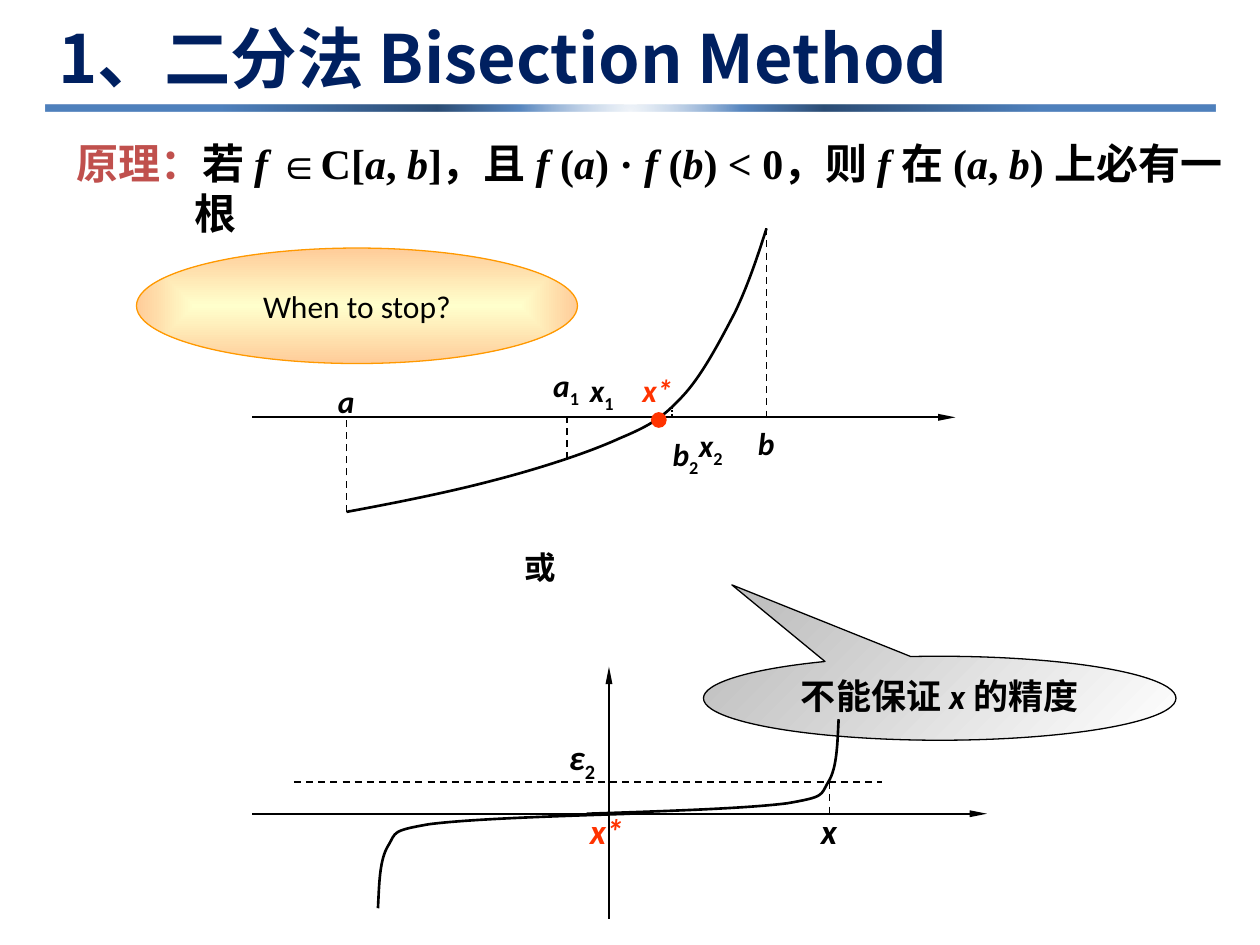
from pptx import Presentation
from pptx import util as u
from pptx.dml.color import RGBColor
from pptx.enum import dml, shapes, text
from pptx.oxml import parse_xml
from pptx.oxml.ns import nsdecls, qn

PX = 9525
INK = {"black": "000000", "red": "FF3300", "brick": "C0504D", "navy": "002060",
       "amber": "FF9900", "cream": "FFFFCC", "peach": "FFCC99", "gray": "C0C0C0",
       "white": "FFFFFF", "pale": "B9CDE5", "mid": "5887C0", "deep": "2C4D75",
       "blue": "4F81BD"}
DASH = dml.MSO_LINE.DASH
DOT = dml.MSO_LINE.ROUND_DOT
CJK = "Noto Sans CJK SC"


def px(num):
    """Turn px into EMU."""
    return u.Emu(num * PX)


def rgb(name):
    """Look up a named colour."""
    return RGBColor.from_string(INK[name])


def write(par, runs, size, face="Calibri", ink="black", bold=True):
    """Add runs given as (words, marks[, ink]); i is italic, s subscript."""
    for words, marks, *tint in runs:
        run = par.add_run()
        run.text = words
        font = run.font
        font.size, font.bold, font.name = u.Pt(size), bold, face
        font.italic = "i" in marks
        font.color.rgb = rgb(tint[0] if tint else ink)
        props = run._r.get_or_add_rPr()
        props.append(parse_xml(f'<a:ea {nsdecls("a")} typeface="{CJK}"/>'))
        if "s" in marks:
            props.set("baseline", "-25000")


def label(sld, box, runs, size=18, grow=True, **style):
    """Place a wrapped text box and return its paragraph."""
    frame = sld.shapes.add_textbox(*map(px, box)).text_frame
    frame.word_wrap = True
    if grow:
        frame.auto_size = text.MSO_AUTO_SIZE.SHAPE_TO_FIT_TEXT
    par = frame.paragraphs[0]
    write(par, runs, size, **style)
    return par


def line(sld, box, start, end, dash=None, arrow=False):
    """Draw a thin line between two points of a box."""
    left, top = box[:2]
    rule = sld.shapes.add_connector(
        shapes.MSO_CONNECTOR.STRAIGHT, px(left + start[0]), px(top + start[1]),
        px(left + end[0]), px(top + end[1]))
    rule.line.color.rgb = rgb("black")
    rule.line.width = u.Pt(1)
    if dash:
        rule.line.dash_style = dash
    if arrow:
        rule.line._get_or_add_ln().append(parse_xml(
            f'<a:tailEnd {nsdecls("a")} type="triangle" w="sm" len="lg"/>'))
    rule.element.spPr.append(parse_xml(f'<a:effectLst {nsdecls("a")}/>'))


def curve(sld, box, pts):
    """Draw a chain of cubic curves through points of a box."""
    dots = [(px(box[0] + x), px(box[1] + y)) for x, y in pts]
    pen = sld.shapes.build_freeform(*dots[0], 1.0)
    pen.add_line_segments(dots[1:], close=False)
    shape = pen.convert_to_shape()
    shape.shadow.inherit = False
    shape.fill.background()
    shape.line.color.rgb = rgb("black")
    shape.line.width = u.Pt(1.5)
    track = next(shape.element.iter(qn("a:path")))
    legs = track.findall(qn("a:lnTo"))
    for k in range(0, len(legs), 3):
        bend = parse_xml(f'<a:cubicBezTo {nsdecls("a")}/>')
        for leg in legs[k:k + 3]:
            bend.append(leg[0])
            track.remove(leg)
        track.append(bend)


def blend(shape, stops, way):
    """Fill a shape with a gradient of (place, ink, alpha) stops."""
    shape.fill.background()
    marks = ""
    for at, ink, alpha in stops:
        fade = f'<a:alpha val="{alpha * 1000}"/>' if alpha < 100 else ""
        marks += f'<a:gs pos="{at * 1000}"><a:srgbClr val="{INK[ink]}">{fade}</a:srgbClr></a:gs>'
    props = shape.element.spPr
    props.replace(props.find(qn("a:noFill")), parse_xml(
        f'<a:gradFill {nsdecls("a")} rotWithShape="1"><a:gsLst>{marks}</a:gsLst>{way}</a:gradFill>'))


def focus(kind, top, low):
    """Give a gradient that spreads from a focus."""
    return (f'<a:path path="{kind}"><a:fillToRect l="50000" t="{top * 1000}" '
            f'r="50000" b="{low * 1000}"/></a:path>')


def solid(sld, kind, box, edge=None):
    """Add a preset shape without a shadow."""
    shape = sld.shapes.add_shape(kind, *map(px, box))
    shape.shadow.inherit = False
    if edge:
        shape.line.color.rgb = rgb(edge)
        shape.line.width = u.Pt(0.75)
    else:
        shape.line.fill.background()
    return shape


def head(sld, box):
    """Build the title and the bar under it."""
    left, top, wide, high = box
    label(sld, (left, top, 768, 80), [("1、二分法 Bisection Method", "")], 38,
          grow=False, face=CJK, ink="navy")
    bar = solid(sld, shapes.MSO_SHAPE.FLOWCHART_PROCESS, (left, top + high - 5, wide, 5))
    blend(bar, [(0, "pale", 22), (19, "mid", 100), (33, "deep", 100), (70, "blue", 100)],
          focus("circle", 130, -30))


def rule(sld, box):
    """Build the statement of the principle."""
    words = ["若 ", "f ", "∈C[", "a", ", ", "b", "]，且 ", "f ", "(", "a", ") · ", "f ",
             "(", "b", ") < 0，则 ", "f ", "在 (", "a", ", ", "b", ") 上必有一根"]
    runs = [("原理：", "", "brick")]
    runs += [(word, "i" if k % 2 else "") for k, word in enumerate(words)]
    props = label(sld, box, runs, 24, face="Times New Roman")._p.get_or_add_pPr()
    props.set("marL", str(px(90)))
    props.set("indent", str(px(-90)))


def root(sld, box):
    """Build the plot of a curve that crosses its axis."""
    left, top, wide, high = box
    line(sld, box, (0, 144), (wide, 144), arrow=True)
    curve(sld, box, [(72, high), (110, 209), (150, 201), (184, 192), (219, 183), (256, 171),
                     (280, 160), (304, 150), (313, 144), (328, 128), (343, 112), (357, 85),
                     (368, 64), (378, 43), (385, 22), (392, 0)])
    for x, y, dash in [(72, high, DASH), (240, 176, DASH), (320, 136, DOT), (392, 0, DASH)]:
        line(sld, box, (x, y), (x, 144), dash)
    dot = solid(sld, shapes.MSO_SHAPE.OVAL, (left + 304, top + 140, 12, 12))
    dot.fill.solid()
    dot.fill.fore_color.rgb = rgb("red")
    for x, y, span, tall, name, sub in [
            (56, 112, 32, 38, "a", ""), (376, 144, 32, 38, "b", ""),
            (248, 104, 40, 38, "x", "1"), (331, 146, 40, 38, "x", "2"),
            (220, 100, 45, 82, "a", "1"), (311, 153, 68, 82, "b", "2")]:
        runs = [(name, "i")] + ([(sub, "s")] if sub else [])
        label(sld, (left + x, top + y, span, tall), runs)
    label(sld, (left + 288, top + 104, 48, 38), [("x*", "i")], ink="red")


def flat(sld, box):
    """Build the plot of a curve that is flat near its root."""
    left, top, wide, high = box
    arm = [(96, 184), (97, 166), (97, 147), (104, 136), (110, 126), (106, 125),
           (135, 120), (166, 116), (228, 114), (288, 112)]
    curve(sld, box, arm)
    curve(sld, box, [(543 - x, 224 - y) for x, y in arm])
    line(sld, box, (0, 112), (wide, 112), arrow=True)
    line(sld, box, (272, high), (272, 0), arrow=True)
    line(sld, box, (32, 88), (480, 88), DASH)
    line(sld, box, (440, 88), (440, 112), DASH)
    label(sld, (left + 232, top + 48, 40, 41), [("ε", "i"), ("2", "s")], 20)
    label(sld, (left + 424, top + 104, 32, 41), [("x", "i")], 20)
    label(sld, (left + 248, top + 104, 48, 41), [("x*", "i")], 20, ink="red")


def ask(sld, box):
    """Build the oval with the question."""
    oval = solid(sld, shapes.MSO_SHAPE.OVAL, box, "amber")
    blend(oval, [(0, "cream", 100), (100, "peach", 100)], focus("shape", 50, 50))
    frame = oval.text_frame
    frame.word_wrap = False
    frame.vertical_anchor = text.MSO_ANCHOR.MIDDLE
    frame.paragraphs[0].alignment = text.PP_ALIGN.CENTER
    write(frame.paragraphs[0], [("When to stop?", "")], 18, bold=False)


def warn(sld, box):
    """Build the callout about precision."""
    note = solid(sld, shapes.MSO_SHAPE.OVAL_CALLOUT, box, "black")
    note.adjustments[0], note.adjustments[1] = -0.44, -1.35
    blend(note, [(0, "gray", 100), (100, "white", 100)], '<a:lin ang="2700000" scaled="1"/>')
    frame = note.text_frame
    frame.word_wrap = True
    frame.vertical_anchor = text.MSO_ANCHOR.TOP
    frame.paragraphs[0].alignment = text.PP_ALIGN.CENTER
    write(frame.paragraphs[0], [("不能保证 ", ""), ("x ", "i"), ("的精度", "")], 20)


def main():
    """Build and save the slide."""
    deck = Presentation()
    deck.slide_width, deck.slide_height = px(960), px(720)
    sld = deck.slides.add_slide(deck.slide_layouts[6])
    root(sld, (192, 174, 536, 216))
    ask(sld, (104, 189, 336, 88))
    label(sld, (384, 413, 56, 48), [("或", "")]).alignment = text.PP_ALIGN.CENTER
    warn(sld, (536, 500, 360, 64))
    flat(sld, (192, 508, 560, 192))
    rule(sld, (49, 100, 900, 48))
    head(sld, (35, 8, 891, 77))
    deck.save("out.pptx")


if __name__ == "__main__":
    main()
